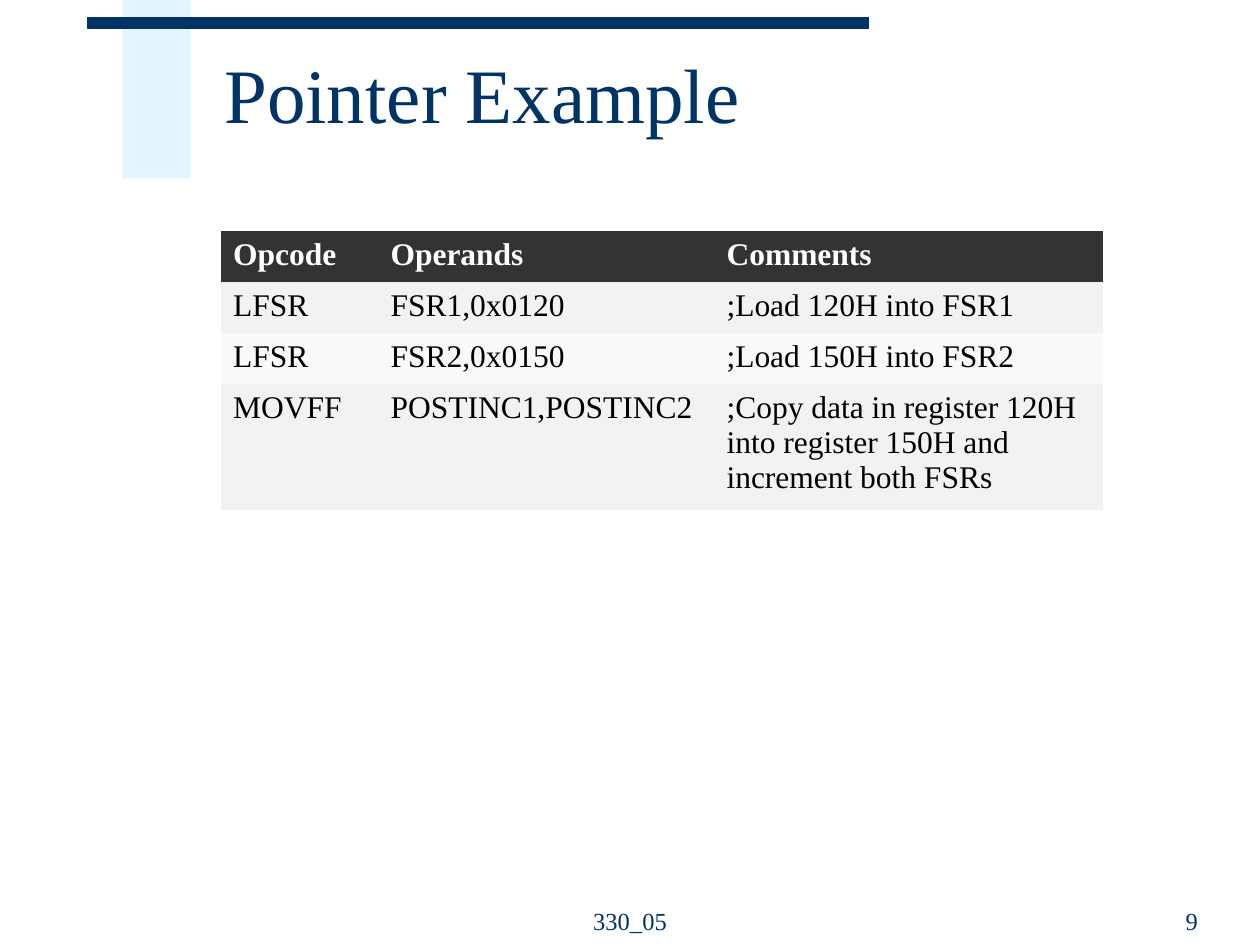
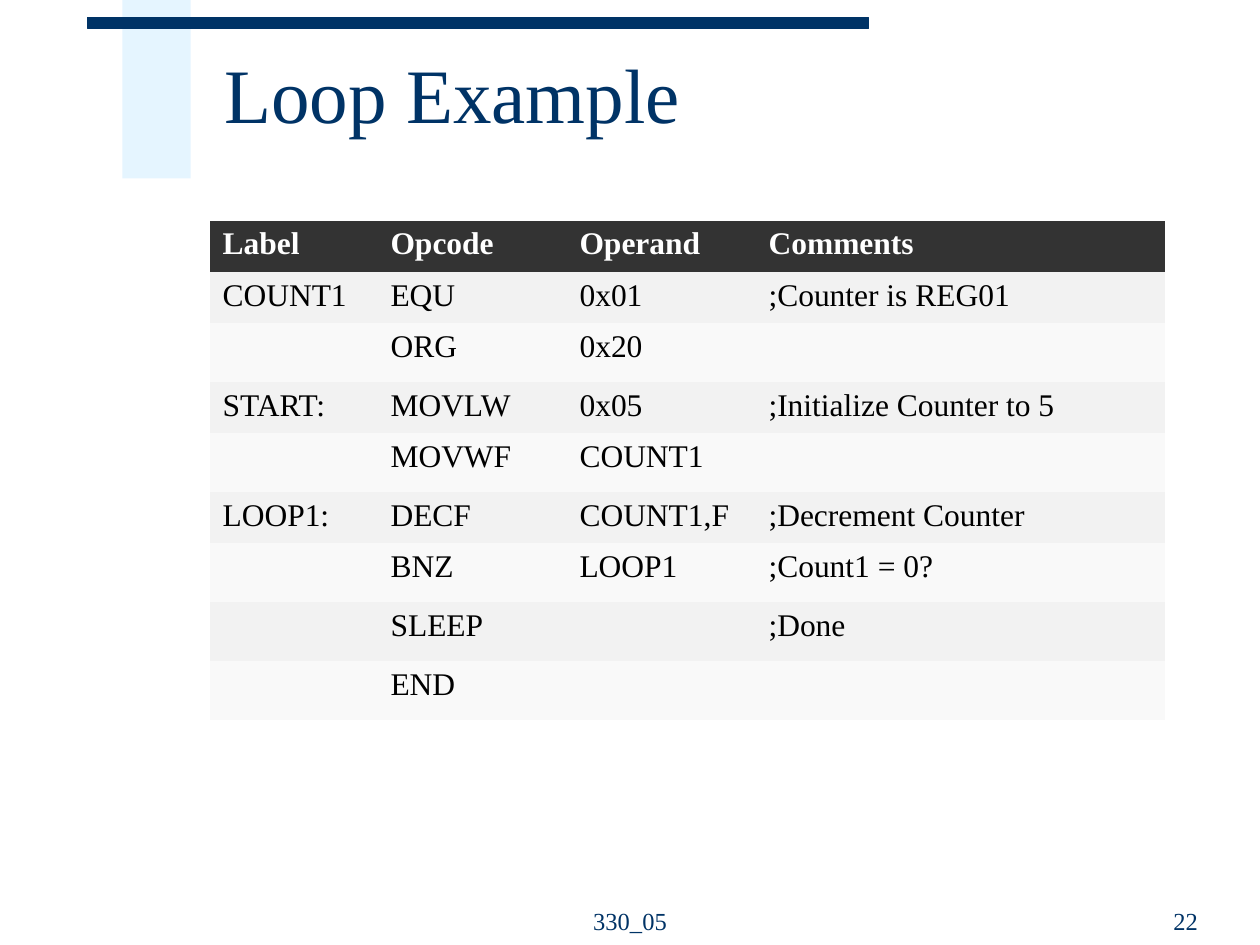
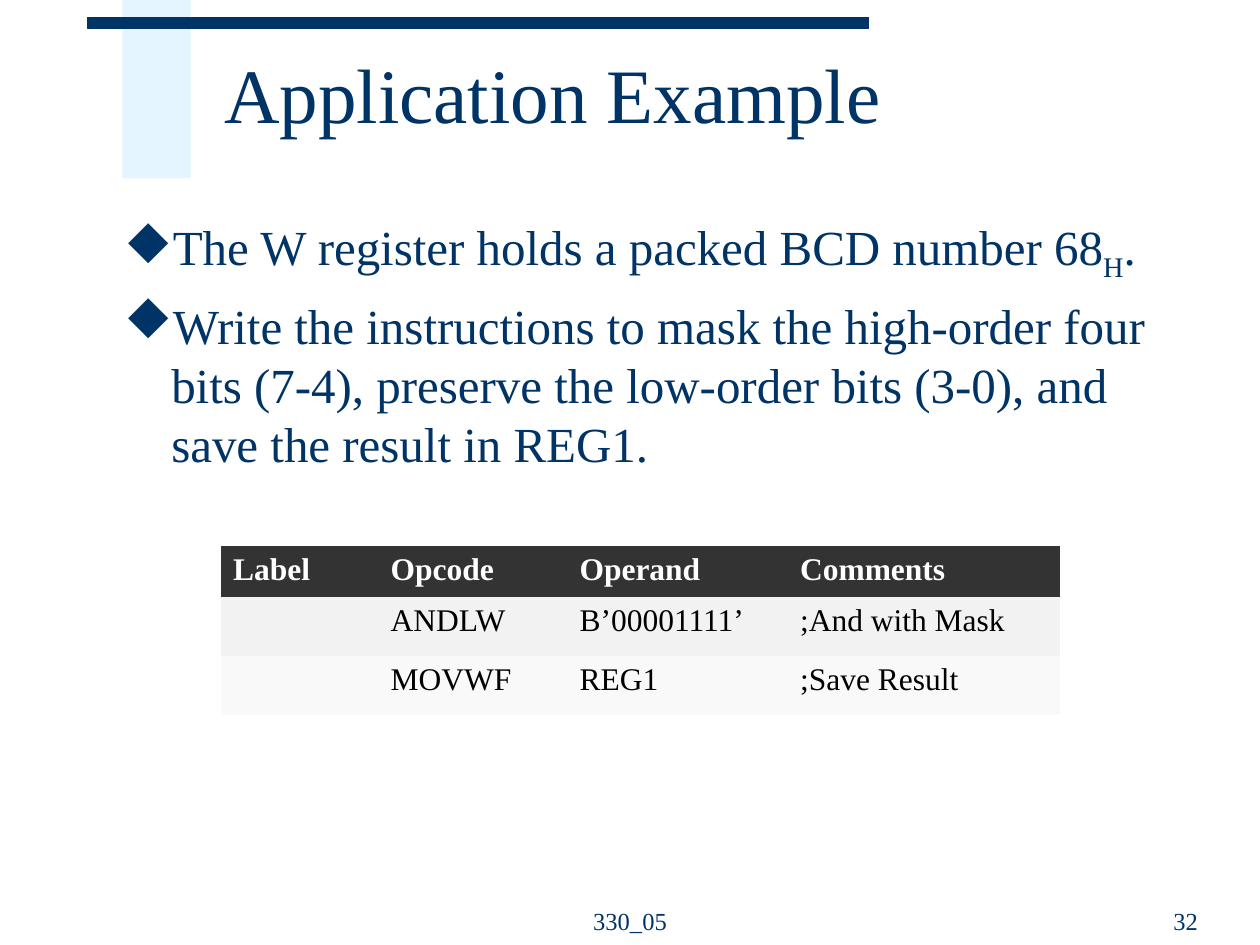
from lxml.etree import SubElement
from pptx import Presentation
from pptx.dml.color import RGBColor
from pptx.enum.shapes import MSO_SHAPE
from pptx.enum.text import MSO_ANCHOR, MSO_AUTO_SIZE, PP_ALIGN
from pptx.oxml.ns import qn
from pptx.util import Pt

NAVY = RGBColor(0x00, 0x33, 0x66)
PALE_BLUE = RGBColor(0xCC, 0xEC, 0xFF)
WHITE = RGBColor(0xFF, 0xFF, 0xFF)
BLACK = RGBColor(0x00, 0x00, 0x00)
HEADER_GREY = RGBColor(0x33, 0x33, 0x33)
ROW_GREYS = (RGBColor(0xF9, 0xF9, 0xF9), RGBColor(0xF2, 0xF2, 0xF2))

FONT = "Times New Roman"
BULLET_FONT = "Wingdings"
DIAMOND = "u"
TITLE_TEXT = {"name": FONT, "size": Pt(44)}
BODY_TEXT = {"name": FONT, "size": Pt(28)}
FOOTER_TEXT = {"name": FONT, "size": Pt(14)}
HEADER_TEXT = {"name": FONT, "size": Pt(18), "bold": True}
CELL_TEXT = {"name": FONT, "size": Pt(18), "bold": False}

PLAIN_TABLE_STYLE = "{2D5ABB26-0587-4C30-8999-92F81FD0307C}"
ROW_HEIGHT = 29.2
GAPPED_ROW_HEIGHT = 33.7
FOOTER = "330_05"


def add_span(para, text, style, color=NAVY):
    span = para.add_run()
    span.text = text
    for name, value in style.items():
        setattr(span.font, name, value)
    span.font.color.rgb = color
    return span


def add_band(page, left, top, width, height, color):
    band = page.shapes.add_shape(
        MSO_SHAPE.RECTANGLE, Pt(left), Pt(top), Pt(width), Pt(height))
    band.shadow.inherit = False
    band.fill.solid()
    band.fill.fore_color.rgb = color
    band.line.fill.background()
    return band


def add_bands(page):
    pale_band = add_band(page, 70, 0, 39, 102, PALE_BLUE)
    color = pale_band.fill._xPr.find(qn("a:solidFill"))[0]
    SubElement(color, qn("a:alpha"), val="50000")
    navy_band = add_band(page, 50.2, 10, 446, 6.4, NAVY)
    navy_band.line.color.rgb = NAVY
    navy_band.line.width = Pt(0.75)


def set_title(page, text):
    title = page.shapes.title
    place = {"left": 121, "top": 12, "width": 581, "height": 90}
    for name, value in place.items():
        setattr(title, name, Pt(value))
    frame = title.text_frame
    frame.auto_size = MSO_AUTO_SIZE.NONE
    frame.vertical_anchor = MSO_ANCHOR.MIDDLE
    para = frame.paragraphs[0]
    para.alignment = PP_ALIGN.LEFT
    para.line_spacing = 0.85
    add_span(para, text, TITLE_TEXT)


def add_text_frame(page, left, top, width, height, anchor=MSO_ANCHOR.TOP):
    box = page.shapes.add_textbox(Pt(left), Pt(top), Pt(width), Pt(height))
    box.text_frame.word_wrap = True
    box.text_frame.vertical_anchor = anchor
    return box.text_frame


def add_footer(page, left, width, text, alignment):
    frame = add_text_frame(page, left, 502, width, 36, MSO_ANCHOR.BOTTOM)
    para = frame.paragraphs[0]
    para.alignment = alignment
    add_span(para, text, FOOTER_TEXT)


def add_page(deck, title, number):
    page = deck.slides.add_slide(deck.slide_layouts[5])
    add_bands(page)
    set_title(page, title)
    add_footer(page, 294, 132, FOOTER, PP_ALIGN.CENTER)
    add_footer(page, 519, 172.7, str(number), PP_ALIGN.RIGHT)
    return page


def set_bullet(para):
    properties = para._p.get_or_add_pPr()
    properties.set("marL", str(Pt(27)))
    properties.set("indent", str(Pt(-27)))
    bullet_color = SubElement(properties, qn("a:buClr"))
    SubElement(bullet_color, qn("a:srgbClr"), val=str(NAVY))
    SubElement(properties, qn("a:buFont"), typeface=BULLET_FONT, charset="2")
    SubElement(properties, qn("a:buChar"), char=DIAMOND)


def add_bullets(page, bullets):
    frame = add_text_frame(page, 63.8, 120, 626, 168)
    for index, spans in enumerate(bullets):
        para = frame.add_paragraph() if index else frame.paragraphs[0]
        set_bullet(para)
        para.space_before = Pt(7 if index else 0)
        for text, baseline in spans:
            span = add_span(para, text, BODY_TEXT)
            if baseline:
                span.font._element.set("baseline", str(baseline))


def fill_cell(cell, text, row_index):
    cell.fill.solid()
    cell.fill.fore_color.rgb = ROW_GREYS[row_index % 2] if row_index else HEADER_GREY
    if text:
        style, color = (CELL_TEXT, BLACK) if row_index else (HEADER_TEXT, WHITE)
        add_span(cell.text_frame.paragraphs[0], text, style, color)


def add_code_table(page, left, top, widths, rows, tall_rows=None):
    heights = [ROW_HEIGHT if all(row) else GAPPED_ROW_HEIGHT for row in rows]
    for index, height in (tall_rows or {}).items():
        heights[index] = height
    table = page.shapes.add_table(
        len(rows), len(widths), Pt(left), Pt(top),
        Pt(sum(widths)), Pt(sum(heights))).table
    table._tbl.tblPr.find(qn("a:tableStyleId")).text = PLAIN_TABLE_STYLE
    for column, width in zip(table.columns, widths):
        column.width = Pt(width)
    for row_index, texts in enumerate(rows):
        table.rows[row_index].height = Pt(heights[row_index])
        for column_index, text in enumerate(texts):
            fill_cell(table.cell(row_index, column_index), text, row_index)


def add_pointer_page(deck):
    page = add_page(deck, "Pointer Example", 9)
    add_code_table(page, 126, 132, (90, 192, 222.5), [
        ("Opcode", "Operands", "Comments"),
        ("LFSR", "FSR1,0x0120", ";Load 120H into FSR1"),
        ("LFSR", "FSR2,0x0150", ";Load 150H into FSR2"),
        ("MOVFF", "POSTINC1,POSTINC2",
         ";Copy data in register 120H into register 150H and increment both FSRs"),
    ], {3: 72})


def add_loop_page(deck):
    page = add_page(deck, "Loop Example", 22)
    add_code_table(page, 120, 126, (96, 108, 108, 234), [
        ("Label", "Opcode", "Operand", "Comments"),
        ("COUNT1", "EQU", "0x01", ";Counter is REG01"),
        ("", "ORG", "0x20", ""),
        ("START:", "MOVLW", "0x05", ";Initialize Counter to 5"),
        ("", "MOVWF", "COUNT1", ""),
        ("LOOP1:", "DECF", "COUNT1,F", ";Decrement Counter"),
        ("", "BNZ", "LOOP1", ";Count1 = 0?"),
        ("", "SLEEP", "", ";Done"),
        ("", "END", "", ""),
    ])


def add_application_page(deck):
    page = add_page(deck, "Application Example", 32)
    add_bullets(page, [
        [("The W register holds a packed BCD number 68", 0), ("H", -25000), (".", 0)],
        [("Write the instructions to mask the high-order four bits (7-4), "
          "preserve the low-order bits (3-0), and save the result in REG1.", 0)],
    ])
    add_code_table(page, 126, 312, (90, 108, 126, 156), [
        ("Label", "Opcode", "Operand", "Comments"),
        ("", "ANDLW", "B’00001111’", ";And with Mask"),
        ("", "MOVWF", "REG1", ";Save Result"),
    ])


def main():
    deck = Presentation()
    deck.slide_width = Pt(720)
    deck.slide_height = Pt(540)
    add_pointer_page(deck)
    add_loop_page(deck)
    add_application_page(deck)
    deck.save("out.pptx")


if __name__ == "__main__":
    main()
